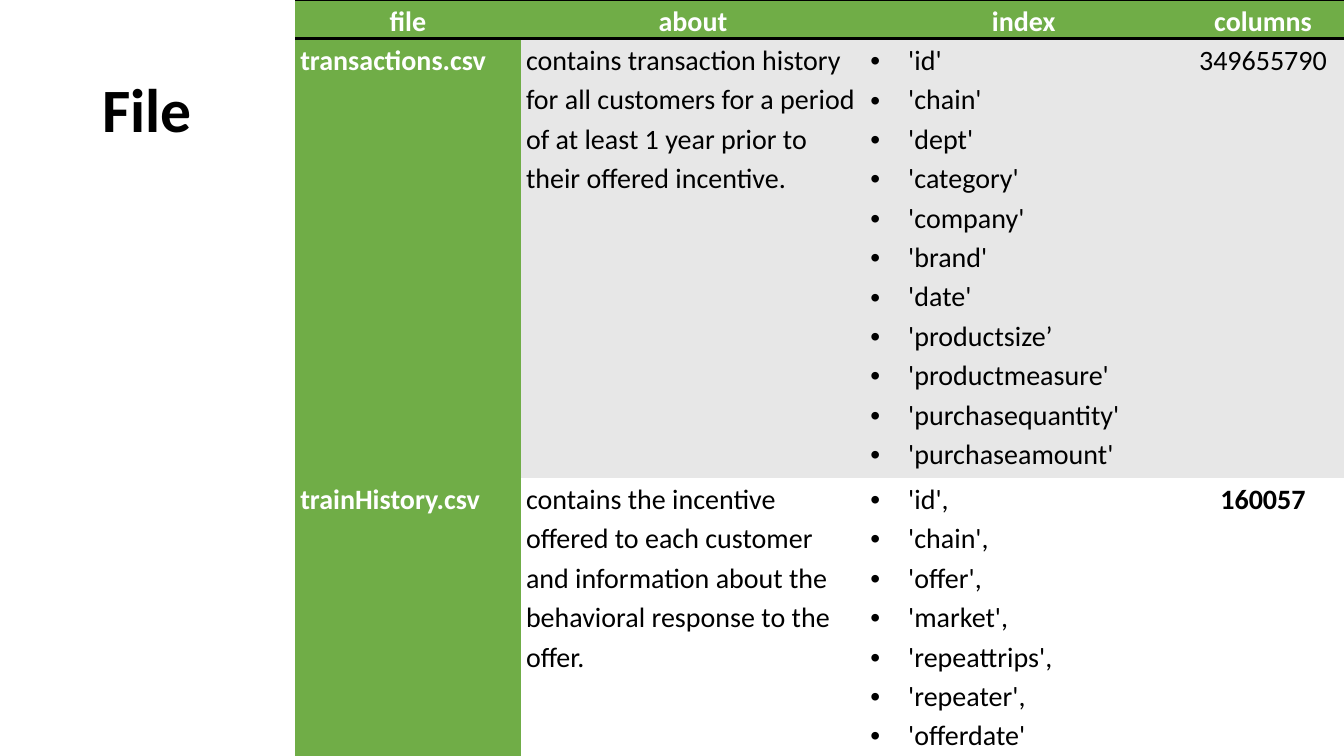
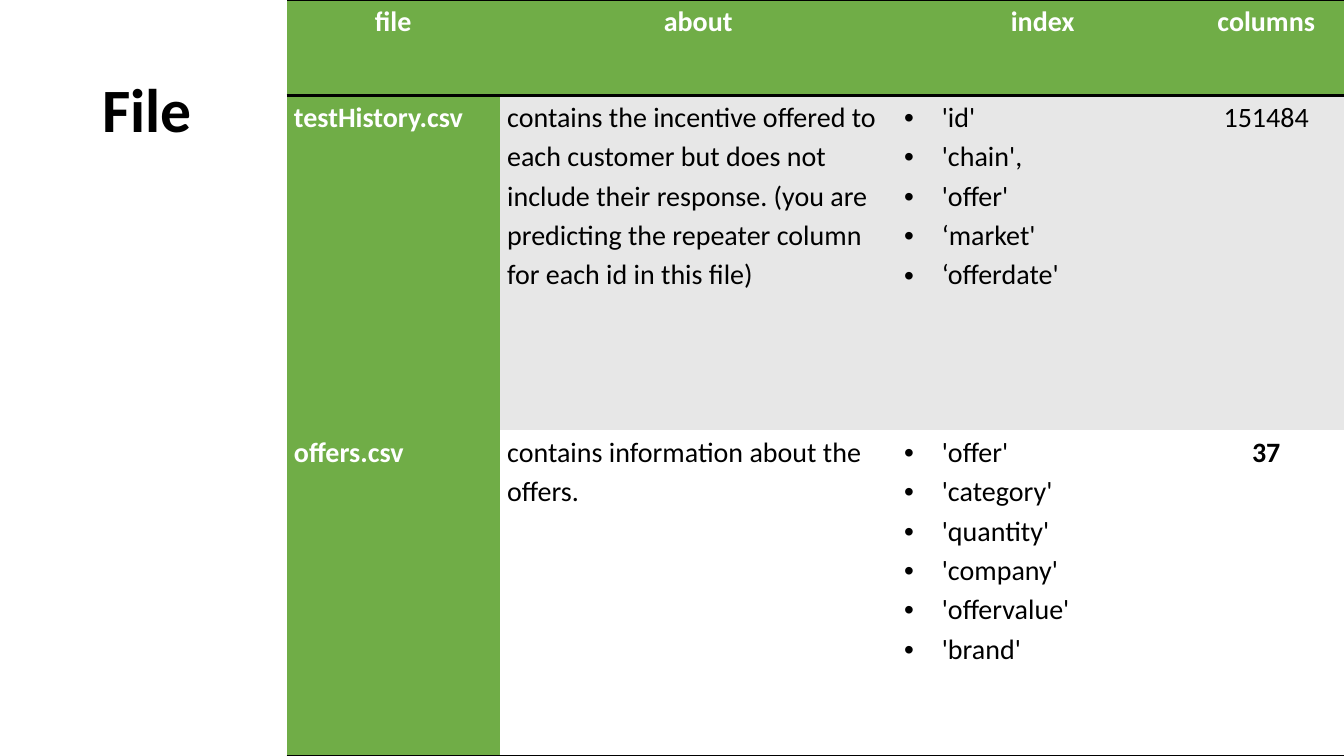
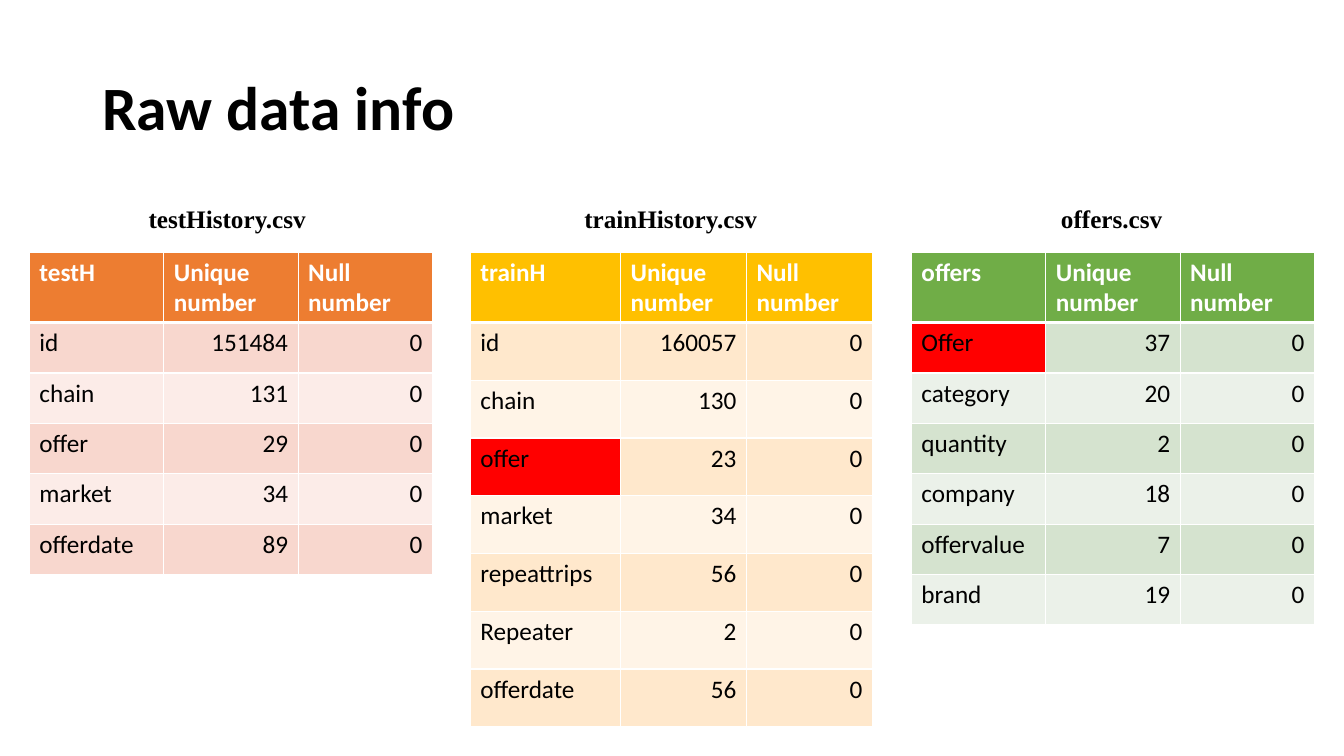
from dataclasses import dataclass
from typing import Optional

from lxml import etree
from pptx import Presentation
from pptx import util as u
from pptx.dml.color import RGBColor
from pptx.enum import text
from pptx.oxml import ns

PX = 9525
WIDTH, HEIGHT = 1280, 720
BLACK = RGBColor(0x00, 0x00, 0x00)
WHITE = RGBColor(0xFF, 0xFF, 0xFF)
GREEN = RGBColor(0x70, 0xAD, 0x47)
GREEN_MID = RGBColor(0xD5, 0xE3, 0xCF)
GREEN_PALE = RGBColor(0xEB, 0xF1, 0xE9)
ORANGE = RGBColor(0xED, 0x7D, 0x31)
ORANGE_MID = RGBColor(0xF8, 0xD7, 0xCE)
ORANGE_PALE = RGBColor(0xFC, 0xEC, 0xE8)
GOLD = RGBColor(0xFF, 0xC0, 0x00)
GOLD_MID = RGBColor(0xFF, 0xE8, 0xCC)
GOLD_PALE = RGBColor(0xFF, 0xF4, 0xE7)
GREY = RGBColor(0xE7, 0xE7, 0xE7)
RED = RGBColor(0xFF, 0x00, 0x00)
BODY_FONT, CAPTION_FONT = "Calibri", "Times New Roman"
NO_STYLE = "{2D5ABB26-0587-4C30-8999-92F81FD0307C}"
BULLET_INDENT = 36
LEFT, CENTER, RIGHT = text.PP_ALIGN.LEFT, text.PP_ALIGN.CENTER, text.PP_ALIGN.RIGHT
FILE_HEADINGS = ["file", "about", "index", "columns"]
COUNT_HEADINGS = ["Unique\nnumber", "Null\nnumber"]
COUNTS_LEFT, COUNTS_TOP, COUNTS_STEP = 28, 240, 420


@dataclass(frozen=True)
class TextStyle:
    size: int
    color: RGBColor = BLACK
    bold: bool = False
    font: str = BODY_FONT
    align: text.PP_ALIGN = LEFT
    spacing: Optional[float] = None
    after: int = 0
    bullet: bool = False


@dataclass(frozen=True)
class FileRow:
    name: str
    about: str
    index: list[str]
    columns: str


@dataclass(frozen=True)
class FileTable:
    widths: list[int]
    heights: list[int]
    margin: int
    rows: list[FileRow]


@dataclass(frozen=True)
class CountTable:
    caption: str
    caption_left: int
    caption_width: int
    heading: str
    widths: list[int]
    row_height: int
    colors: tuple[RGBColor, RGBColor, RGBColor]
    counts: list[tuple[str, int]]
    marked: str = ""


TITLE = TextStyle(44, bold=True, spacing=0.9)
CAPTION = TextStyle(18, bold=True, font=CAPTION_FONT)
FILE_HEAD = TextStyle(20, WHITE, True, align=CENTER, spacing=1.15, after=10)
FILE_NAME = TextStyle(20, WHITE, True, spacing=1.15)
FILE_ABOUT = TextStyle(20, spacing=1.15)
FILE_INDEX = TextStyle(20, spacing=1.15, bullet=True)
FILE_COLUMNS = TextStyle(20, align=CENTER, spacing=1.15)
FILE_LAST = TextStyle(20, bold=True, align=CENTER, spacing=1.15)
COUNT_HEAD = TextStyle(18, WHITE, True)
COUNT_NAME = TextStyle(18)
COUNT_VALUE = TextStyle(18, align=RIGHT)

FILE_TABLES = [
    FileTable([215, 328, 302, 154], [36, 418, 266], 5, [
        FileRow(
            "transactions.csv",
            "contains transaction history for all customers for a period "
            "of at least 1 year prior to their offered incentive.",
            ["'id'", "'chain'", "'dept'", "'category'", "'company'", "'brand'", "'date'",
             "'productsize’", "'productmeasure'", "'purchasequantity'", "'purchaseamount'"],
            "349655790"),
        FileRow(
            "trainHistory.csv",
            "contains the incentive offered to each customer and information "
            "about the behavioral response to the offer.",
            ["'id',", "'chain',", "'offer',", "'market',", "'repeattrips',", "'repeater',",
             "'offerdate'"],
            "160057"),
    ]),
    FileTable([203, 378, 278, 148], [91, 319, 310], 7, [
        FileRow(
            "testHistory.csv",
            "contains the incentive offered to each customer but does not include their "
            "response. (you are predicting the repeater column for each id in this file)",
            ["'id'", "'chain',", "'offer'", "‘market'", "‘offerdate'"],
            "151484"),
        FileRow(
            "offers.csv",
            "contains information about the offers.",
            ["'offer'", "'category'", "'quantity'", "'company'", "'offervalue'", "'brand'"],
            "37"),
    ]),
]

COUNT_TABLES = [
    CountTable("testHistory.csv", 132, 176, "testH", [128, 128, 128], 48,
               (ORANGE, ORANGE_MID, ORANGE_PALE),
               [("id", 151484), ("chain", 131), ("offer", 29), ("market", 34),
                ("offerdate", 89)]),
    CountTable("trainHistory.csv", 547, 185, "trainH", [143, 120, 120], 55,
               (GOLD, GOLD_MID, GOLD_PALE),
               [("id", 160057), ("chain", 130), ("offer", 23), ("market", 34),
                ("repeattrips", 56), ("Repeater", 2), ("offerdate", 56)], "offer"),
    CountTable("offers.csv", 1001, 117, "offers", [128, 128, 128], 48,
               (GREEN, GREEN_MID, GREEN_PALE),
               [("Offer", 37), ("category", 20), ("quantity", 2), ("company", 18),
                ("offervalue", 7), ("brand", 19)], "Offer"),
]


def px(n: int) -> u.Emu:
    return u.Emu(n * PX)


def write(tf, lines: list[str], style: TextStyle) -> None:
    for i, line in enumerate(lines):
        p = tf.paragraphs[0] if i == 0 else tf.add_paragraph()
        p.alignment = style.align
        p.space_after = u.Pt(style.after)
        if style.spacing:
            p.line_spacing = style.spacing
        if style.bullet:
            pPr = p._p.get_or_add_pPr()
            pPr.set("marL", str(px(BULLET_INDENT)))
            pPr.set("indent", str(px(-BULLET_INDENT)))
            etree.SubElement(pPr, ns.qn("a:buFont")).set("typeface", "Arial")
            etree.SubElement(pPr, ns.qn("a:buChar")).set("char", "•")
        r = p.add_run()
        r.text = line
        r.font.name, r.font.size, r.font.bold = style.font, u.Pt(style.size), style.bold
        r.font.color.rgb = style.color


def add_text(s, left: int, top: int, width: int, height: int, line: str,
             style: TextStyle, wrap: bool = True) -> None:
    tf = s.shapes.add_textbox(px(left), px(top), px(width), px(height)).text_frame
    tf.word_wrap = wrap
    tf.vertical_anchor = text.MSO_ANCHOR.MIDDLE
    write(tf, [line], style)


def add_title(s, line: str, top: int, width: int) -> None:
    add_text(s, 88, top, width, 139, line, TITLE)


def add_grid(s, left: int, top: int, widths: list[int], heights: list[int]):
    frame = s.shapes.add_table(len(heights), len(widths), px(left), px(top),
                               px(sum(widths)), px(sum(heights)))
    tbl = frame.table
    tbl.first_row = tbl.horz_banding = False
    tbl._tbl.tblPr.find(ns.qn("a:tableStyleId")).text = NO_STYLE
    for column, width in zip(tbl.columns, widths):
        column.width = px(width)
    for row, height in zip(tbl.rows, heights):
        row.height = px(height)
    return tbl


def set_cell(cell, lines: list[str], style: TextStyle, fill: RGBColor,
             line_color: RGBColor, borders: dict[str, int]) -> None:
    write(cell.text_frame, lines, style)
    tcPr = cell._tc.get_or_add_tcPr()
    for side in "LRTB":
        if side in borders:
            ln = etree.SubElement(tcPr, ns.qn(f"a:ln{side}"), w=str(u.Pt(borders[side])))
            solid = etree.SubElement(ln, ns.qn("a:solidFill"))
            etree.SubElement(solid, ns.qn("a:srgbClr"), val=str(line_color))
    cell.fill.solid()
    cell.fill.fore_color.rgb = fill


def add_file_table(s, spec_table: FileTable) -> None:
    tbl = add_grid(s, WIDTH - sum(spec_table.widths), 0, spec_table.widths, spec_table.heights)
    for cell in tbl.iter_cells():
        cell.margin_left = cell.margin_right = px(spec_table.margin)
        cell.margin_top = cell.margin_bottom = 0
    for c, heading in enumerate(FILE_HEADINGS):
        set_cell(tbl.cell(0, c), [heading], FILE_HEAD, GREEN, BLACK, {"T": 2, "B": 2})
    for i, row in enumerate(spec_table.rows, 1):
        last = i == len(spec_table.rows)
        shade = WHITE if last else GREY
        contents = [
            ([row.name], FILE_NAME, GREEN),
            ([row.about], FILE_ABOUT, shade),
            (row.index, FILE_INDEX, shade),
            ([row.columns], FILE_LAST if last else FILE_COLUMNS, shade),
        ]
        for c, (lines, style, fill) in enumerate(contents):
            set_cell(tbl.cell(i, c), lines, style, fill, BLACK, {"B": 2} if last else {})


def add_count_table(s, left: int, data: CountTable) -> None:
    add_text(s, data.caption_left, 189, data.caption_width, 38, data.caption, CAPTION, False)
    heights = [data.row_height] * len(data.counts)
    tbl = add_grid(s, left, COUNTS_TOP, data.widths, [67] + heights)
    head, *bands = data.colors
    for c, heading in enumerate([data.heading] + COUNT_HEADINGS):
        set_cell(tbl.cell(0, c), heading.split("\n"), COUNT_HEAD, head, WHITE,
                 {"L": 1, "R": 1, "T": 1, "B": 3})
    for i, (name, unique) in enumerate(data.counts):
        for c, value in enumerate([name, str(unique), "0"]):
            fill = RED if value == data.marked else bands[i % 2]
            set_cell(tbl.cell(i + 1, c), [value], COUNT_VALUE if c else COUNT_NAME, fill,
                     WHITE, {"L": 1, "R": 1, "B": 1})


def main() -> None:
    prs = Presentation()
    prs.slide_width, prs.slide_height = px(WIDTH), px(HEIGHT)
    blank = prs.slide_layouts[6]
    for file_table in FILE_TABLES:
        s = prs.slides.add_slide(blank)
        add_title(s, "File", 38, 119)
        add_file_table(s, file_table)
    s = prs.slides.add_slide(blank)
    add_title(s, "Raw data info", 36, 1104)
    for i, count_table in enumerate(COUNT_TABLES):
        add_count_table(s, COUNTS_LEFT + i * COUNTS_STEP, count_table)
    prs.save("out.pptx")


if __name__ == "__main__":
    main()
